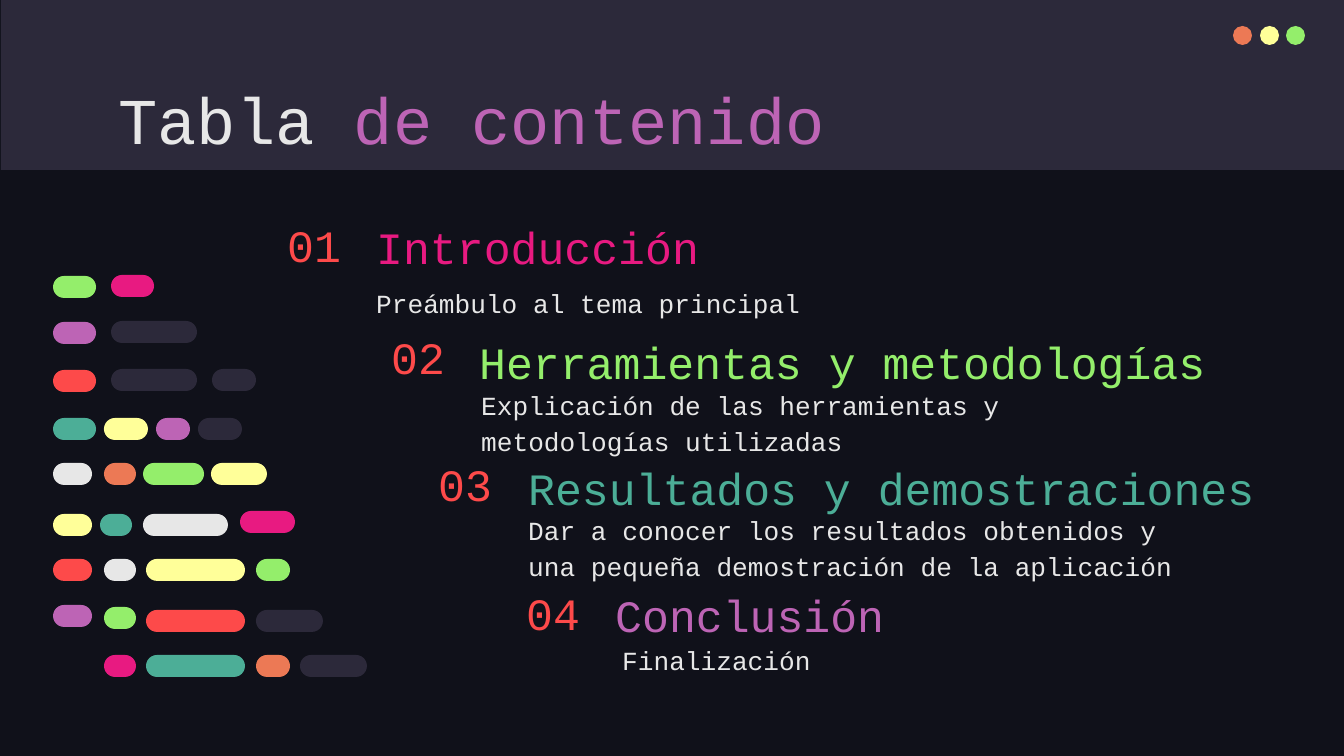
from pptx import Presentation
from pptx.dml.color import RGBColor
from pptx.enum.shapes import MSO_SHAPE as Shape
from pptx.enum.text import MSO_ANCHOR as Anchor, PP_ALIGN as Align
from pptx.util import Emu, Pt

FONT = "Courier New"
NIGHT = RGBColor(0x10, 0x11, 0x1A)
SLATE = RGBColor(0x2C, 0x29, 0x3A)
WHITE = RGBColor(0xE7, 0xE7, 0xE7)
PURPLE = RGBColor(0xBD, 0x64, 0xB5)
RED = RGBColor(0xFD, 0x4A, 0x4A)
PINK = RGBColor(0xE8, 0x1A, 0x81)
GREEN = RGBColor(0x94, 0xEE, 0x6B)
TEAL = RGBColor(0x4C, 0xAE, 0x97)
ORANGE = RGBColor(0xEC, 0x79, 0x55)
YELLOW = RGBColor(0xFF, 0xFF, 0x99)

TITLE = [("Tabla ", WHITE), ("de contenido", PURPLE)]
TITLE_BOX = (105, 66, 1133, 85)

LOW = dict(anchor=Anchor.BOTTOM, spacing=1.15)
HIGH = dict(anchor=Anchor.TOP, spacing=1.0)
# number, its box; heading, colour, its box and format; description, its box
SECTIONS = [
    ("01", (274, 216, 89, 58),
     "Introducción", PINK, (363, 216, 618, 71), LOW,
     "Preámbulo al tema principal", (363, 269, 618, 85)),
    ("02", (378, 328, 89, 58),
     "Herramientas y metodologías", GREEN, (466, 331, 801, 71), LOW,
     "Explicación de las herramientas y metodologías utilizadas", (468, 371, 618, 85)),
    ("03", (425, 460, 89, 48),
     "Resultados y demostraciones", TEAL, (515, 457, 801, 71), LOW,
     "Dar a conocer los resultados obtenidos y una pequeña demostración de la aplicación",
     (515, 496, 702, 85)),
    ("04", (513, 589, 89, 48),
     "Conclusión", PURPLE, (602, 574, 702, 85), HIGH,
     "Finalización", (609, 626, 702, 85)),
]

DOTS = [(1233, ORANGE), (1260, YELLOW), (1286, GREEN)]
DOT_TOP, DOT_SIZE = 26, 19

# left, top, width, colour of each pill, one code line per row
PILL_HEIGHT = 22
CODE_LINES = [
    [(53, 276, 43, GREEN), (111, 275, 43, PINK)],
    [(53, 322, 43, PURPLE), (111, 321, 86, SLATE)],
    [(53, 370, 43, RED), (111, 369, 86, SLATE), (212, 369, 44, SLATE)],
    [(53, 418, 43, TEAL), (104, 418, 44, YELLOW), (156, 418, 34, PURPLE),
     (198, 418, 44, SLATE)],
    [(53, 463, 39, WHITE), (104, 463, 32, ORANGE), (143, 463, 61, GREEN),
     (211, 463, 56, YELLOW)],
    [(53, 514, 39, YELLOW), (100, 514, 32, TEAL), (143, 514, 85, WHITE),
     (240, 511, 55, PINK)],
    [(53, 559, 39, RED), (104, 559, 32, WHITE), (146, 559, 99, YELLOW),
     (256, 559, 34, GREEN)],
    [(53, 605, 39, PURPLE), (104, 607, 32, GREEN), (146, 610, 99, RED),
     (256, 610, 67, SLATE)],
    [(104, 655, 32, PINK), (146, 655, 99, TEAL), (256, 655, 34, ORANGE),
     (300, 655, 67, SLATE)],
]


def px(n):
    return Emu(round(n * 914400 / 134.4))


def place(box):
    return [px(n) for n in box]


def add_filled(shapes, kind, box, color):
    s = shapes.add_shape(kind, *place(box))
    s.shadow.inherit = False
    s.fill.solid()
    s.fill.fore_color.rgb = color
    s.line.fill.background()
    return s


def write(s, runs, size, anchor=Anchor.TOP, spacing=1.0):
    """Fill a shape with one paragraph of (text, colour) runs."""
    tf = s.text_frame
    tf.word_wrap = True
    tf.vertical_anchor = anchor
    tf.margin_left = tf.margin_right = tf.margin_top = tf.margin_bottom = Pt(7.2)
    p = tf.paragraphs[0]
    p.alignment = Align.LEFT
    p.line_spacing = spacing
    p.space_before = Pt(0)
    for text, color in runs:
        r = p.add_run()
        r.text = text
        r.font.name = FONT
        r.font.size = Pt(size)
        r.font.color.rgb = color


def add_text(shapes, text, box, color, size, **fmt):
    write(shapes.add_textbox(*place(box)), [(text, color)], size, **fmt)


def main():
    prs = Presentation()
    prs.slide_width, prs.slide_height = px(1344), px(756)
    slide = prs.slides.add_slide(prs.slide_layouts[5])
    slide.background.fill.solid()
    slide.background.fill.fore_color.rgb = NIGHT
    shapes = slide.shapes

    header = add_filled(shapes, Shape.RECTANGLE, (1, 0, 1344, 170), SLATE)
    title = shapes.title
    header._element.addnext(title._element)  # the title lies over the header
    title.left, title.top, title.width, title.height = place(TITLE_BOX)
    write(title, TITLE, 35)

    dots = shapes.add_group_shape().shapes
    for left, color in DOTS:
        add_filled(dots, Shape.OVAL, (left, DOT_TOP, DOT_SIZE, DOT_SIZE), color)

    for number, num_box, heading, color, head_box, fmt, detail, detail_box in SECTIONS:
        add_text(shapes, detail, detail_box, WHITE, 14, spacing=1.15)
        add_text(shapes, number, num_box, RED, 24, anchor=Anchor.MIDDLE)
        add_text(shapes, heading, head_box, color, 24, **fmt)

    pills = shapes.add_group_shape().shapes
    for line in CODE_LINES:
        for left, top, width, color in line:
            pill = add_filled(pills, Shape.ROUNDED_RECTANGLE,
                              (left, top, width, PILL_HEIGHT), color)
            pill.adjustments[0] = 0.5

    prs.save("out.pptx")


if __name__ == "__main__":
    main()
